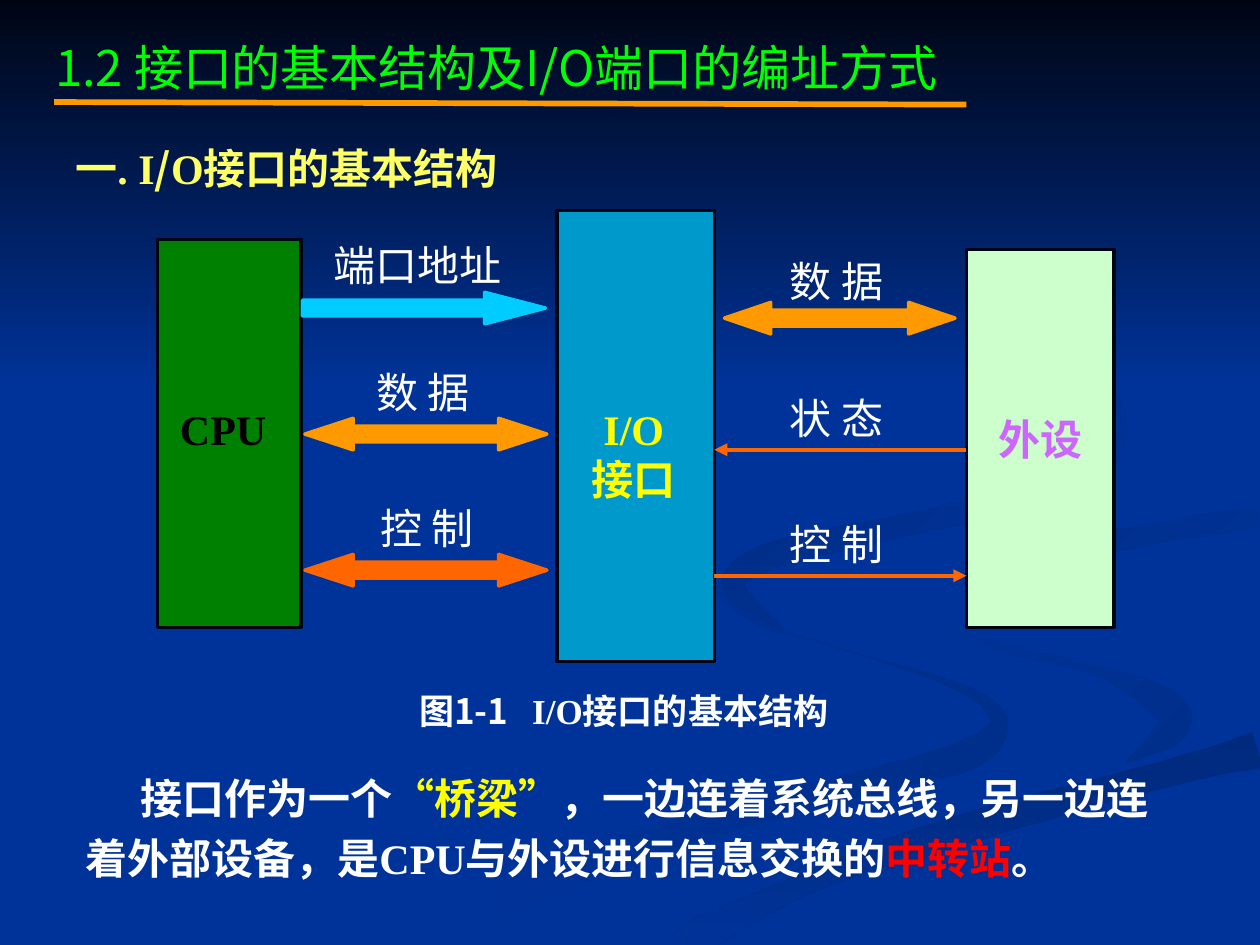
from math import hypot

from lxml import etree
from pptx import Presentation
from pptx.dml.color import RGBColor
from pptx.enum.shapes import MSO_CONNECTOR, MSO_SHAPE
from pptx.enum.text import PP_ALIGN
from pptx.oxml.ns import qn
from pptx.util import Inches, Pt

RECTANGLE = MSO_SHAPE.RECTANGLE
RIGHT_ARROW = MSO_SHAPE.RIGHT_ARROW
DOUBLE_ARROW = MSO_SHAPE.LEFT_RIGHT_ARROW
STRAIGHT = MSO_CONNECTOR.STRAIGHT
LEFT, CENTER = PP_ALIGN.LEFT, PP_ALIGN.CENTER

SERIF, SANS = "Times New Roman", "Noto Sans CJK SC"
NAVY, INK, WHITE, YELLOW = "003399", "000514", "FFFFFF", "FFFF00"
AMBER, ORANGE, CYAN = "FF9900", "FF6600", "00CCFF"

# Background ribbons: centre line as (x, y, thickness) in hundredths of an
# inch, then the two end colours and the clockwise gradient angle
RIBBONS = [
    ([(574, 460, 1), (574, 474, 6), (612, 498, 4), (682, 519, 1),
      (765, 547, 6), (793, 573, 14), (770, 598, 24), (700, 618, 20),
      (552, 657, 22), (424, 702, 28), (335, 747, 44)], NAVY, "002E8B", 0),
    ([(724, 464, 1), (740, 490, 5), (792, 513, 8), (870, 532, 8),
      (922, 557, 24), (930, 578, 25), (894, 605, 1)], NAVY, "002E8B", 45),
    ([(545, 748, 30), (640, 701, 17), (758, 660, 24), (903, 620, 20),
      (998, 595, 28)], "002A7D", NAVY, 90),
    ([(998, 411, 18), (896, 427, 16), (806, 450, 24), (793, 466, 24),
      (826, 496, 1)], "002D86", NAVY, 45),
    ([(762, 233, 1), (864, 295, 8), (892, 338, 4), (868, 374, 17),
      (808, 395, 22), (736, 413, 17), (630, 436, 20), (590, 452, 20),
      (585, 470, 16), (622, 500, 1)], "002B82", NAVY, 45),
]

# left, top, width, height, fill
BLOCKS = [(1.25, 1.9, 1.14, 3.08, "008000"),
          (4.42, 1.67, 1.25, 3.58, "0099CC"),
          (7.67, 1.98, 1.17, 3, "CCFFCC")]

# preset, left, top, width, head length to height, colour
BLOCK_ARROWS = [(RIGHT_ARROW, 2.4, 2.32, 1.93, 1.93, CYAN),
                (DOUBLE_ARROW, 2.42, 3.32, 1.92, 1.53, AMBER),
                (DOUBLE_ARROW, 2.42, 4.4, 1.92, 1.53, ORANGE),
                (DOUBLE_ARROW, 5.75, 2.4, 1.83, 1.47, AMBER)]

# text, left, top, width, colour, bold, alignment
LABELS = [("CPU", 1.33, 3.15, 1, "000000", True, LEFT),
          ("I/O接口", 4.53, 3.15, 1, YELLOW, True, CENTER),
          ("外设", 7.83, 3.23, 0.92, "CC66FF", True, LEFT),
          ("端口地址", 2.55, 1.85, 1.58, WHITE, False, LEFT),
          ("数 据", 2.89, 2.86, 1, WHITE, False, LEFT),
          ("控 制", 2.92, 3.94, 1, WHITE, False, LEFT),
          ("数 据", 6.17, 1.98, 1, WHITE, False, LEFT),
          ("状 态", 6.17, 3.07, 1, WHITE, False, LEFT),
          ("控 制", 6.17, 4.07, 1, WHITE, False, LEFT)]


def rgb(color):
    return RGBColor.from_string(color)


def smooth(knots, steps=6):
    """Run a Catmull-Rom curve through the knots."""
    padded = [knots[0], *knots, knots[-1]]
    curve = []
    for a, b, c, d in zip(padded, padded[1:], padded[2:], padded[3:]):
        for step in range(steps):
            t = step / steps
            curve.append([
                q + t / 2 * (r - p + t * (2 * p - 5 * q + 4 * r - s
                                          + t * (3 * (q - r) + s - p)))
                for p, q, r, s in zip(a, b, c, d)])
    return curve + [list(knots[-1])]


def ribbon_outline(knots):
    """Offset the curve by half its thickness to each side."""
    curve = smooth(knots)
    one_side, other_side = [], []
    for before, (x, y, thickness), after in zip(
            curve[:1] + curve, curve, curve[1:] + curve[-1:]):
        along_x, along_y = after[0] - before[0], after[1] - before[1]
        reach = max(thickness, 0) / 2 / hypot(along_x, along_y)
        one_side.append((x - along_y * reach, y + along_x * reach))
        other_side.append((x + along_y * reach, y - along_x * reach))
    return one_side + other_side[::-1]


def set_gradient(shape, start, end, angle):
    shape.shadow.inherit = False
    shape.line.fill.background()
    shape.fill.gradient()
    shape.fill.gradient_angle = (360 - angle) % 360
    for stop, color in zip(shape.fill.gradient_stops, (start, end)):
        stop.color.rgb = rgb(color)


def add_ribbon(slide, knots, start, end, angle):
    points = ribbon_outline(knots)
    builder = slide.shapes.build_freeform(*points[0], scale=Inches(0.01))
    builder.add_line_segments(points[1:], close=True)
    set_gradient(builder.convert_to_shape(), start, end, angle)


def add_preset(slide, preset, left, top, width, height, fill, line):
    shape = slide.shapes.add_shape(preset, Inches(left), Inches(top),
                                   Inches(width), Inches(height))
    shape.shadow.inherit = False
    shape.fill.solid()
    shape.fill.fore_color.rgb = rgb(fill)
    shape.line.color.rgb = rgb(line)
    shape.line.width = Pt(2)
    return shape


def add_line(slide, start, end, color, width, arrow=False):
    connector = slide.shapes.add_connector(
        STRAIGHT, *(Inches(value) for value in start + end))
    connector.line.color.rgb = rgb(color)
    connector.line.width = Pt(width)
    if arrow:
        line = connector.line._get_or_add_ln()
        etree.SubElement(line, qn("a:tailEnd"), type="triangle")
    etree.SubElement(connector._element.spPr, qn("a:effectLst"))


def add_text(slide, runs, left, top, width, height, size, color,
             bold=False, alignment=LEFT, font=SERIF):
    """Each run is its text and, where they differ, its font and colour."""
    box = slide.shapes.add_textbox(Inches(left), Inches(top),
                                   Inches(width), Inches(height))
    box.text_frame.word_wrap = True
    paragraph = box.text_frame.paragraphs[0]
    paragraph.alignment = alignment
    paragraph.font.size = Pt(size)
    paragraph.font.bold = bold
    paragraph.font.name = font
    paragraph.font.color.rgb = rgb(color)
    for text, run_font, run_color in runs:
        run = paragraph.add_run()
        run.text = text
        if run_font:
            run.font.name = run_font
        if run_color:
            run.font.color.rgb = rgb(run_color)
    # Chinese characters use the sans face throughout
    for latin in list(paragraph._p.iter(qn("a:latin"))):
        latin.addnext(latin.makeelement(qn("a:ea"), {"typeface": SANS}))
    return paragraph


def main():
    presentation = Presentation()
    presentation.slide_width = Inches(10)
    presentation.slide_height = Inches(7.5)
    slide = presentation.slides.add_slide(presentation.slide_layouts[6])

    # Background
    slide.background.fill.solid()
    slide.background.fill.fore_color.rgb = rgb(NAVY)
    for ribbon in RIBBONS:
        add_ribbon(slide, *ribbon)
    sky = add_preset(slide, RECTANGLE, 0, 0, 10, 3.08, NAVY, NAVY)
    set_gradient(sky, INK, NAVY, 90)

    # Title and section heading
    add_text(slide, [("1.2 接口的基本结构及I/O端口的编址方式", None, None)],
             0.34, 0.25, 7.49, 1.04, 28, "00FF00", font=SANS)
    add_line(slide, (0.43, 0.81), (7.67, 0.83), AMBER, 3.25)
    add_text(slide, [("一. I", None, None), ("/", SANS, None),
                     ("O接口的基本结构", None, None)],
             0.5, 1.08, 3.92, 0.5, 24, "FFFF66", bold=True)

    # Interface diagram
    for left, top, width, height, fill in BLOCKS:
        add_preset(slide, RECTANGLE, left, top, width, height, fill, INK)
    for preset, left, top, width, head, color in BLOCK_ARROWS:
        arrow = add_preset(slide, preset, left, top, width, 0.25, color, color)
        arrow.adjustments[1] = head
    add_line(slide, (7.67, 3.57), (5.67, 3.57), ORANGE, 2.5, arrow=True)
    add_line(slide, (5.67, 4.57), (7.67, 4.57), ORANGE, 2.5, arrow=True)
    for text, left, top, width, color, bold, alignment in LABELS:
        add_text(slide, [(text, None, None)], left, top, width, 0.5, 24,
                 color, bold, alignment)

    # Caption, with a widened space after the figure number
    caption = add_text(slide, [("图1-1", None, None), (" ", None, None),
                               ("I/O", SERIF, None),
                               ("接口的基本结构", None, None)],
                       2.54, 5.42, 4.82, 0.44, 20, WHITE, True, CENTER, SANS)
    caption.runs[1].font._element.set("spc", "900")

    # Explanation
    body = add_text(slide, [("接口作为一个", None, None),
                            ("“", SANS, YELLOW), ("桥梁", None, YELLOW),
                            ("”", SANS, YELLOW),
                            ("，一边连着系统总线，另一边连着外部设备，"
                             "是CPU与外设进行信息交换的", None, None),
                            ("中转站", None, "FF0000"), ("。", None, None)],
                    0.58, 6, 8.75, 1.06, 24, WHITE, bold=True)
    body.line_spacing = 1.2
    body._p.get_or_add_pPr().set("indent", str(Inches(0.44)))

    presentation.save("out.pptx")


if __name__ == "__main__":
    main()
